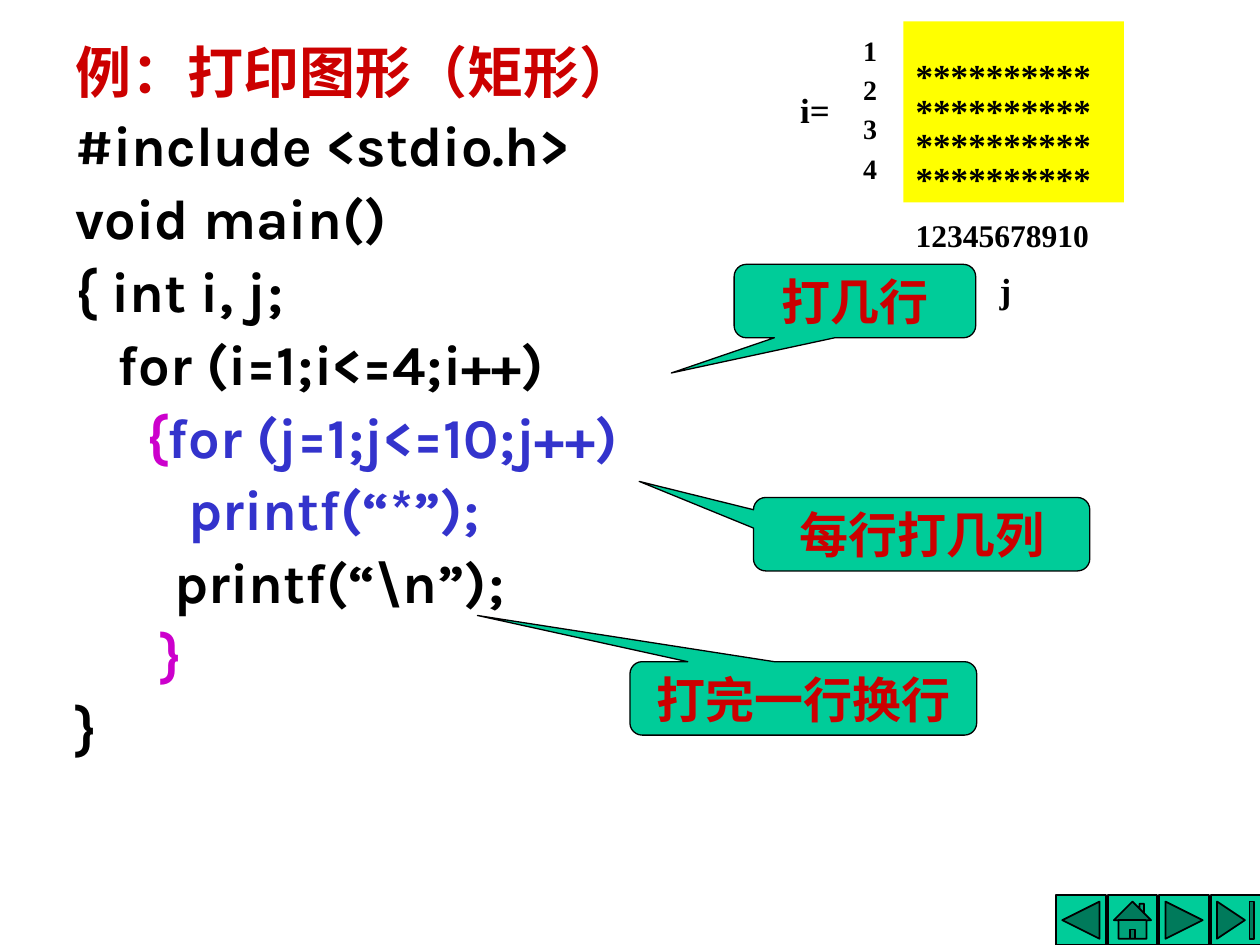
import pptx
import pptx.dml.color
import pptx.enum.shapes
import pptx.enum.text
import pptx.oxml.ns
import pptx.util
from lxml import etree

Cm, Pt = pptx.util.Cm, pptx.util.Pt
SHAPE = pptx.enum.shapes.MSO_SHAPE
ALIGN = pptx.enum.text.PP_ALIGN
ANCHOR = pptx.enum.text.MSO_ANCHOR

COLORS = {
    "black": "000000",
    "red": "CC0000",
    "blue": "3333CC",
    "magenta": "CC00CC",
    "green": "00CC99",
    "yellow": "FFFF00",
}
SERIF = "Times New Roman"
CODE_FONT = "Karla"
CODE_SPACE = 0.285  # width in cm of one space of code indentation

# Each line: spaces of indentation, then its (text, colour) runs
CODE_LINES = [
    (0, [("例：打印图形（矩形）", "red")]),
    (0, [("#include <stdio.h>", "black")]),
    (0, [("void main()", "black")]),
    (0, [("{ int i, j;", "black")]),
    (3, [("for (i=1;i<=4;i++)", "black")]),
    (5, [("{", "magenta"), ("for (j=1;j<=10;j++)", "blue")]),
    (8, [("printf(“*”);", "blue")]),
    (7, [("printf(“\\n”);", "black")]),
    (6, [("}", "magenta")]),
    (0, [("}", "black")]),
]

# Box in cm, text, and the pointer's tip as a share of the box from its centre
CALLOUTS = [
    ((14.8, 5.33, 4.87, 1.48), "打几行", (-0.76, 0.98)),
    ((15.19, 10.03, 6.78, 1.48), "每行打几列", (-0.84, -0.72)),
    ((12.7, 13.34, 6.99, 1.48), "打完一行换行", (-0.94, -1.13)),
]
BUTTONS = [
    SHAPE.ACTION_BUTTON_BACK_OR_PREVIOUS,
    SHAPE.ACTION_BUTTON_HOME,
    SHAPE.ACTION_BUTTON_FORWARD_OR_NEXT,
    SHAPE.ACTION_BUTTON_END,
]


def rgb(name):
    return pptx.dml.color.RGBColor.from_string(COLORS[name])


def set_attributes(target, values):
    for name, value in values.items():
        setattr(target, name, value)


def set_space_before(paragraph, percent):
    """Set the space before as a percentage of the line, not in points."""
    paragraph.space_before = Pt(0)
    qn = pptx.oxml.ns.qn
    spacing = paragraph._p.pPr.find(qn("a:spcBef"))
    spacing.remove(spacing[0])
    etree.SubElement(spacing, qn("a:spcPct"), val=str(percent * 1000))


def add_run(paragraph, text, size, color="black", font=SERIF):
    run = paragraph.add_run()
    run.text = text
    set_attributes(run.font, {"name": font, "size": Pt(size), "bold": True})
    run.font.color.rgb = rgb(color)


def next_paragraph(frame, index):
    return frame.add_paragraph() if index else frame.paragraphs[0]


def add_box(slide, box):
    textbox = slide.shapes.add_textbox(*map(Cm, box))
    textbox.text_frame.word_wrap = True
    return textbox.text_frame


def add_filled(slide, kind, box, fill, line_width=None):
    shape = slide.shapes.add_shape(kind, *map(Cm, box))
    shape.shadow.inherit = False
    shape.fill.solid()
    shape.fill.fore_color.rgb = rgb(fill)
    if line_width is None:
        shape.line.fill.background()
    else:
        shape.line.color.rgb = rgb("black")
        shape.line.width = Pt(line_width)
    return shape


def write_lines(frame, lines, size, line_spacing=1.0):
    for index, line in enumerate(lines):
        paragraph = next_paragraph(frame, index)
        set_attributes(paragraph, {"alignment": ALIGN.LEFT,
                                   "line_spacing": line_spacing})
        set_space_before(paragraph, 50)
        add_run(paragraph, line, size)


def add_code(slide, box):
    frame = add_box(slide, box)
    for index, (spaces, runs) in enumerate(CODE_LINES):
        paragraph = next_paragraph(frame, index)
        paragraph.alignment = ALIGN.JUSTIFY
        set_space_before(paragraph, 10)
        paragraph._p.pPr.set("marL", str(Cm(spaces * CODE_SPACE)))
        for text, color in runs:
            add_run(paragraph, text, 32, color, CODE_FONT)


def add_callout(slide, box, text, tip):
    callout = add_filled(slide, SHAPE.ROUNDED_RECTANGULAR_CALLOUT, box,
                         "green", 0.75)
    for index, share in enumerate(tip):
        callout.adjustments[index] = share
    frame = callout.text_frame
    set_attributes(frame, {"word_wrap": True,
                           "vertical_anchor": ANCHOR.MIDDLE})
    frame.paragraphs[0].alignment = ALIGN.CENTER
    add_run(frame.paragraphs[0], text, 28, "red")


def add_star_output(slide, left, top):
    """Place the printed stars with their row and column counters."""
    stars = add_filled(slide, SHAPE.RECTANGLE,
                       (left + 2.33, top, 4.45, 3.65), "yellow")
    set_attributes(stars.text_frame, {"word_wrap": True,
                                      "vertical_anchor": ANCHOR.BOTTOM})
    write_lines(stars.text_frame, ["*" * 10] * 4, 20, 0.4)

    labels = [
        ((0, 1.22, 1.27, 1.09), ["i="], 20, 1.0),
        ((1.27, 0.28, 1.07, 3.33), ["1", "2", "3", "4"], 16, 0.75),
        ((4.02, 4.85, 1.27, 1.09), ["j"], 20, 1.0),
        ((2.33, 3.81, 4.45, 1.02), ["12345678910"], 18, 1.0),
    ]
    for (x, y, width, height), lines, size, spacing in labels:
        frame = add_box(slide, (left + x, top + y, width, height))
        write_lines(frame, lines, size, spacing)


def add_navigation(slide, left, top, size, pitch):
    for index, kind in enumerate(BUTTONS):
        add_filled(slide, kind, (left + index * pitch, top, size, size),
                   "green", 1)


def main():
    deck = pptx.Presentation()
    set_attributes(deck, {"slide_width": Cm(25.4), "slide_height": Cm(19.05)})
    slide = deck.slides.add_slide(deck.slide_layouts[6])
    add_navigation(slide, 21.29, 18.05, 1, 1.04)
    add_code(slide, (1.27, 0.64, 18.62, 16.51))
    for box, text, tip in CALLOUTS:
        add_callout(slide, box, text, tip)
    add_star_output(slide, 15.88, 0.43)
    deck.save("out.pptx")


if __name__ == "__main__":
    main()
